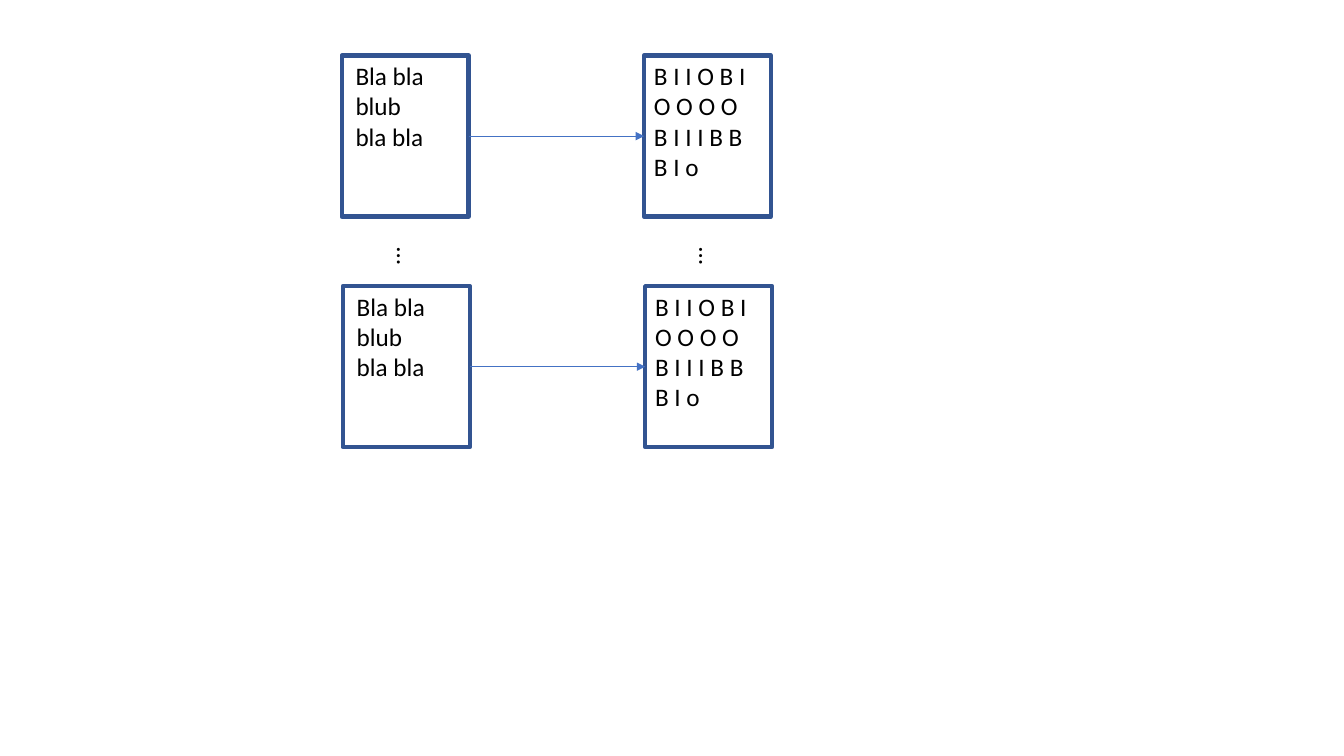
from lxml import etree
from pptx import Presentation
from pptx.dml.color import RGBColor
from pptx.enum.shapes import MSO_CONNECTOR, MSO_SHAPE
from pptx.enum.text import MSO_AUTO_SIZE
from pptx.oxml.ns import qn
from pptx.util import Cm, Pt

RECTANGLE = MSO_SHAPE.RECTANGLE
STRAIGHT = MSO_CONNECTOR.STRAIGHT
GROW = MSO_AUTO_SIZE.SHAPE_TO_FIT_TEXT

COLUMNS = [
    {"text": "Bla bla\nblub\nbla bla", "inset": 0.1, "height": 2.57},
    {"text": "B I I O B I O O O O B I I I B B B I o", "inset": 0, "height": 3.33},
]
ROWS = [(8.61, 1.4), (8.64, 7.21)]
ELLIPSIS = "…"
COLORS = {"page": "FFFFFF", "border": "325491", "arrow": "4472C4", "text": "000000"}
FONT = "Calibri"

COLUMN_STEP = 7.62
PAGE_WIDTH, PAGE_HEIGHT = 3.2, 4.06
TEXT_WIDTH = 2.95
ELLIPSIS_LEFT, ELLIPSIS_TOP = 9.07, 6.65
ELLIPSIS_WIDTH, ELLIPSIS_HEIGHT = 2.36, 1.03


def color(name):
    return RGBColor.from_string(COLORS[name])


def add_page(slide, left, top):
    page = slide.shapes.add_shape(
        RECTANGLE, Cm(left), Cm(top), Cm(PAGE_WIDTH), Cm(PAGE_HEIGHT))
    page.shadow.inherit = False
    page.fill.solid()
    page.fill.fore_color.rgb = color("page")
    page.line.color.rgb = color("border")
    page.line.width = Pt(3)


def add_text(slide, text, left, top, width, height):
    box = slide.shapes.add_textbox(Cm(left), Cm(top), Cm(width), Cm(height))
    text_frame = box.text_frame
    text_frame.word_wrap = True
    text_frame.auto_size = GROW
    text_frame.text = text
    for paragraph in text_frame.paragraphs:
        for run in paragraph.runs:
            run.font.name = FONT
            run.font.size = Pt(18)
            run.font.color.rgb = color("text")
    return box


def add_arrow(slide, start, end, height):
    arrow = slide.shapes.add_connector(
        STRAIGHT, Cm(start), Cm(height), Cm(end), Cm(height))
    arrow.line.color.rgb = color("arrow")
    arrow.line.width = Pt(0.5)
    etree.SubElement(arrow.line._get_or_add_ln(), qn("a:tailEnd"), type="triangle")
    etree.SubElement(arrow._element.spPr, qn("a:effectLst"))


presentation = Presentation()
presentation.slide_width = Cm(33.87)
presentation.slide_height = Cm(19.05)
slide = presentation.slides.add_slide(presentation.slide_layouts[6])

for left, top in ROWS:
    for index, column in enumerate(COLUMNS):
        page_left = left + index * COLUMN_STEP
        add_page(slide, page_left, top)
        add_text(slide, column["text"], page_left + column["inset"], top,
                 TEXT_WIDTH, column["height"])
    add_arrow(slide, left + PAGE_WIDTH, left + COLUMN_STEP, top + PAGE_HEIGHT / 2)

for index in range(len(COLUMNS)):
    ellipsis = add_text(slide, ELLIPSIS, ELLIPSIS_LEFT + index * COLUMN_STEP,
                        ELLIPSIS_TOP, ELLIPSIS_WIDTH, ELLIPSIS_HEIGHT)
    ellipsis.rotation = 90

presentation.save("out.pptx")
